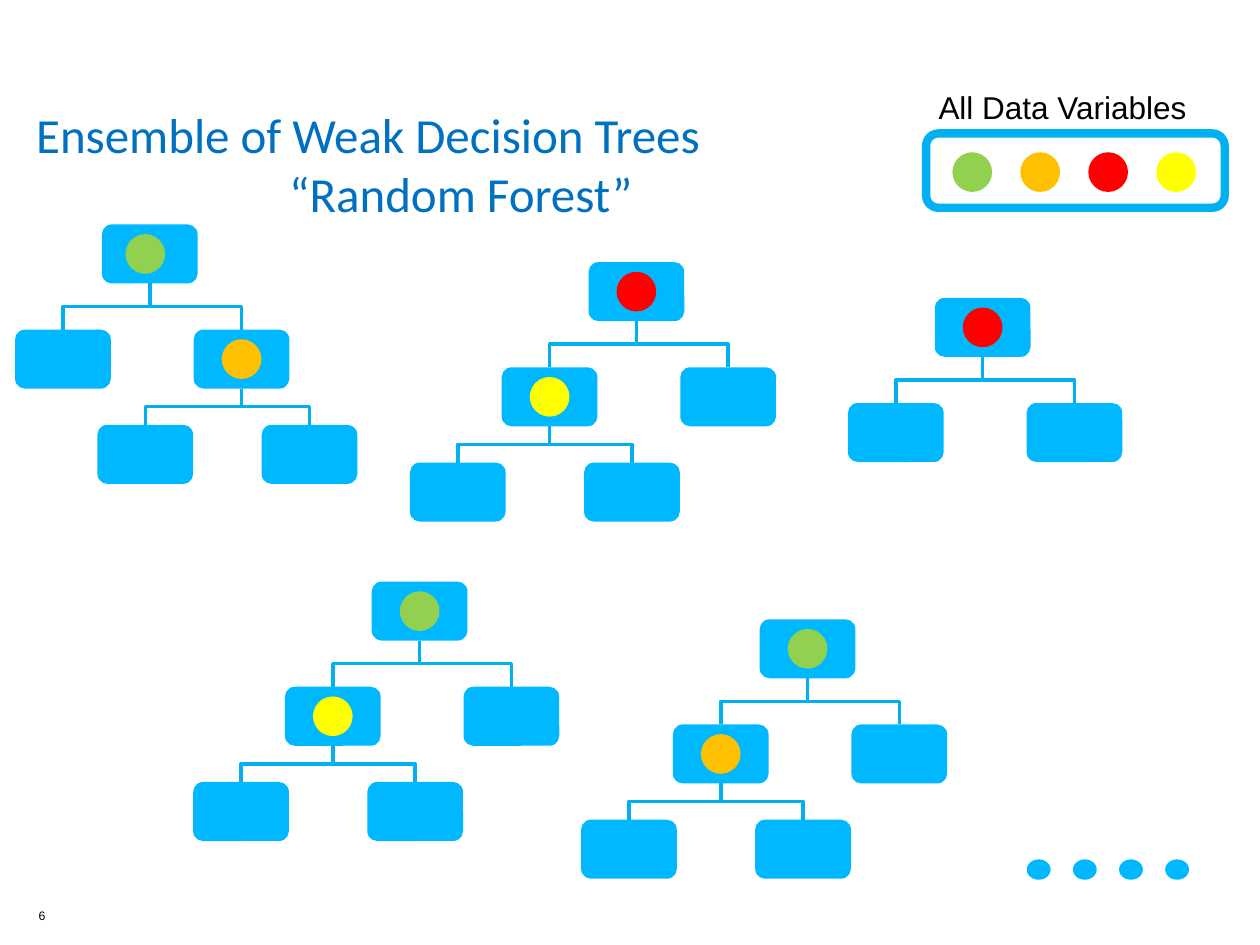
"""Build the slide on ensembles of weak decision trees."""
from dataclasses import dataclass

from lxml import etree
from pptx import Presentation
from pptx import util as u
from pptx.dml import color
from pptx.enum import shapes, text
from pptx.oxml import ns


@dataclass(frozen=True)
class Theme:
    box: str = "00B8FF"
    line: str = "00B0F0"
    title: str = "0070C0"
    ink: str = "000000"
    green: str = "92D050"
    amber: str = "FFC000"
    red: str = "FF0000"
    yellow: str = "FFFF00"
    head: str = "Calibri"
    body: str = "Arial"
    big: float = 28
    mid: float = 18
    small: float = 7
    thin: float = 2
    thick: float = 4.75


def rgb(code):
    return color.RGBColor.from_string(code)


def apply(target, values):
    for name, value in values.items():
        setattr(target, name, value)


class Painter:
    def __init__(self, slide, theme):
        self.slide = slide
        self.theme = theme

    def shape(self, kind, x, y, w, h, fill=None, edge=None):
        item = self.slide.shapes.add_shape(
            kind, u.Cm(x - w / 2), u.Cm(y - h / 2), u.Cm(w), u.Cm(h))
        item.shadow.inherit = False
        if fill:
            item.fill.solid()
            item.fill.fore_color.rgb = rgb(fill)
        else:
            item.fill.background()
        if edge:
            item.line.color.rgb = rgb(edge)
            item.line.width = u.Pt(self.theme.thick)
        else:
            item.line.fill.background()

    def box(self, x, y, w, h, **style):
        self.shape(shapes.MSO_SHAPE.ROUNDED_RECTANGLE, x, y, w, h, **style)

    def dot(self, x, y, fill, w=0.8, h=0.8):
        self.shape(shapes.MSO_SHAPE.OVAL, x, y, w, h, fill)

    def link(self, x, y, dx, dy):
        turn = 1 if dx < 0 else -1
        mid, low = x + dx / 2, y + dy / 2
        half, rise = turn * dy / 2, abs(dx) / 2
        line = self.slide.shapes.add_connector(
            shapes.MSO_CONNECTOR.ELBOW, u.Cm(mid - half), u.Cm(low - rise),
            u.Cm(mid + half), u.Cm(low + rise))
        line.rotation = 90 if turn > 0 else 270
        line.line.color.rgb = rgb(self.theme.line)
        line.line.width = u.Pt(self.theme.thin)
        etree.SubElement(line.element.spPr, ns.qn("a:effectLst"))

    def label(self, x, y, w, h, lines, size, face, ink):
        frame = self.slide.shapes.add_textbox(
            u.Cm(x), u.Cm(y), u.Cm(w), u.Cm(h)).text_frame
        apply(frame, {"word_wrap": True,
                      "vertical_anchor": text.MSO_ANCHOR.TOP})
        for i, (words, indent) in enumerate(lines):
            para = frame.add_paragraph() if i else frame.paragraphs[0]
            if indent:
                para._p.get_or_add_pPr().set("marL", str(u.Cm(indent)))
            run = para.add_run()
            run.text = words
            apply(run.font, {"size": u.Pt(size), "name": face})
            run.font.color.rgb = rgb(ink)

    def tree(self, x, y, fill, shift=0, side=None, tint=None, spread=()):
        wide, tall = 1.93, 1.19
        arms = (-1.75, 1.85)
        self.box(x, y, wide, tall, fill=self.theme.box)
        self.fork(x, y, arms, 2.12, wide, tall)
        self.dot(x + shift, y, fill)
        if side is not None:
            x, y = x + arms[side], y + 2.12
            self.fork(x, y, spread, 1.92, wide, tall)
            self.dot(x, y, tint)

    def fork(self, x, y, arms, drop, wide, tall):
        for dx in arms:
            self.box(x + dx, y + drop, wide, tall, fill=self.theme.box)
            self.link(x, y + tall / 2, dx, drop - tall)


def main():
    t = Theme()
    deck = Presentation()
    apply(deck, {"slide_width": u.Cm(25.4), "slide_height": u.Cm(19.05)})
    art = Painter(deck.slides.add_slide(deck.slide_layouts[6]), t)

    art.label(0.53, 18.19, 1.52, 0.69, [("6", 0)], t.small, t.body, t.ink)
    art.label(0.48, 1.98, 14.2, 2.67,
              [("Ensemble of Weak Decision Trees", 0),
               ("\u201cRandom Forest\u201d", 5.1)], t.big, t.head, t.title)

    near, far = (-1.85, 1.66), (-1.94, 1.37)
    trees = [
        (3.02, 5.12, t.green, -0.09, 1, t.amber, far),
        (12.83, 5.88, t.red, 0, 0, t.yellow, near),
        (19.81, 6.6, t.red),
        (8.46, 12.32, t.green, 0, 0, t.yellow, near),
        (16.28, 13.08, t.green, 0, 0, t.amber, near),
    ]
    for tree in trees:
        art.tree(*tree)

    art.box(21.68, 3.44, 6.02, 1.5, edge=t.line)
    for i, tint in enumerate((t.green, t.amber, t.red, t.yellow)):
        art.dot(19.6 + 1.37 * i, 3.47, tint)
        art.dot(20.94 + 0.93 * i, 17.53, t.box, 0.48, 0.41)
    art.label(18.67, 1.65, 5.8, 1.02, [("All Data Variables", 0)],
              t.mid, t.body, t.ink)

    deck.save("out.pptx")


main()
